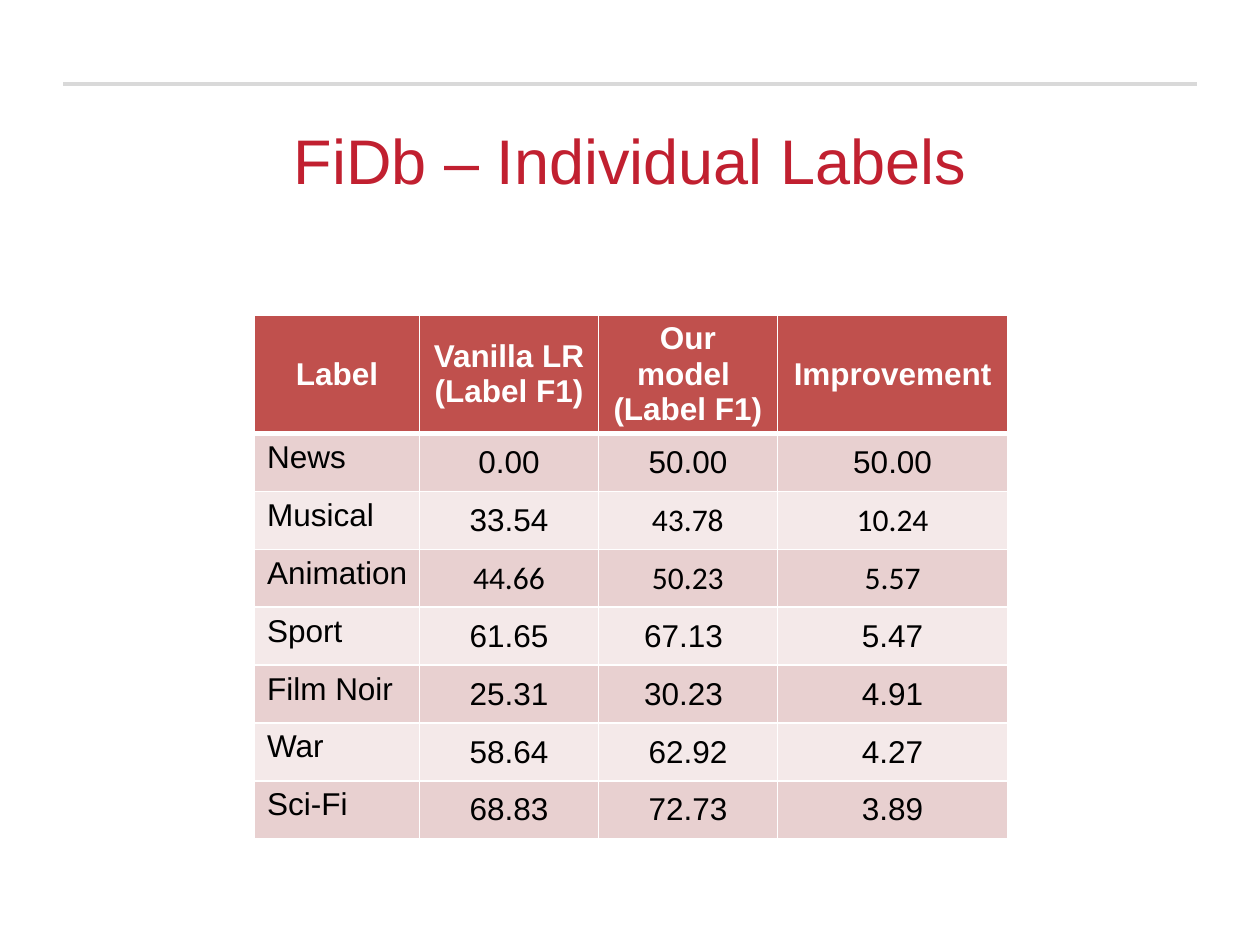
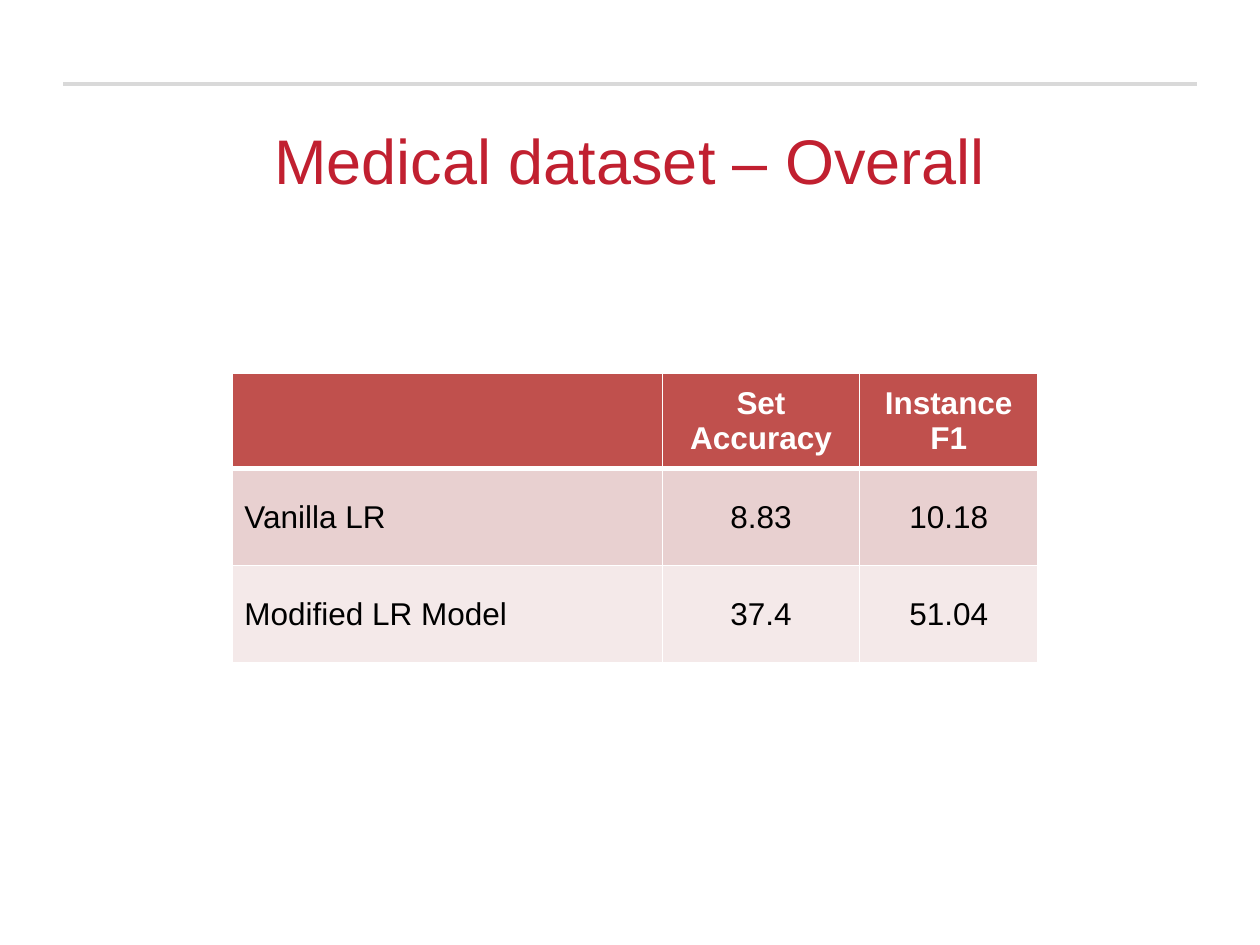
from pptx import Presentation
from pptx import util as u
from pptx.dml.color import RGBColor
from pptx.enum import shapes, text
from pptx.oxml import parse_xml
from pptx.oxml.ns import nsdecls

# Content: "calibri" holds the (row, column) cells set in Calibri
SLIDES = [
    dict(
        title="FiDb – Individual Labels",
        rows=[
            ["Label", "Vanilla LR (Label F1)", "Our model \n(Label F1)", "Improvement"],
            ["News", "0.00", "50.00", "50.00"],
            ["Musical", "33.54", "43.78", "10.24"],
            ["Animation", "44.66", "50.23", "5.57"],
            ["Sport", "61.65", "67.13 ", "5.47"],
            ["Film Noir", "25.31", "30.23 ", "4.91"],
            ["War", "58.64", "62.92", "4.27"],
            ["Sci-Fi", "68.83", "72.73", "3.89"],
        ],
        origin=(2.02, 2.5), cols=[1.31, 1.42, 1.42, 1.83], heights=(0.75, 0.46),
        label_anchor=text.MSO_ANCHOR.TOP,
        calibri={(2, 2), (2, 3), (3, 1), (3, 2), (3, 3)},
    ),
    dict(
        title="Medical dataset – Overall",
        rows=[
            ["", "Set Accuracy", "Instance F1"],
            ["Vanilla LR", "8.83", "10.18"],
            ["Modified LR Model", "37.4", "51.04"],
        ],
        origin=(1.84, 2.96), cols=[3.42, 1.56, 1.42], heights=(0.76, 0.77),
        label_anchor=text.MSO_ANCHOR.MIDDLE,
        calibri=set(),
    ),
]

# Shared look
WIDTH, HEIGHT, MARGIN = 10, 7.5, 0.5
RULE_Y = 0.67
RULE = RGBColor(0xD9, 0xD9, 0xD9)
TITLE = RGBColor(0xC1, 0x20, 0x30)
HEADER = RGBColor(0xC0, 0x50, 0x4D)
BANDS = [RGBColor(0xE8, 0xD0, 0xD0), RGBColor(0xF4, 0xE9, 0xE9)]
WHITE = RGBColor(0xFF, 0xFF, 0xFF)
BLACK = RGBColor(0, 0, 0)
CENTER, LEFT = text.PP_ALIGN.CENTER, text.PP_ALIGN.LEFT
MIDDLE = text.MSO_ANCHOR.MIDDLE


def write(tf, words, size=18, font="Arial", color=BLACK, bold=False,
          align=CENTER, spacing=1.0):
    for i, line in enumerate(words.split("\n")):
        p = tf.add_paragraph() if i else tf.paragraphs[0]
        p.alignment, p.line_spacing = align, spacing
        p.font.size = u.Pt(size)
        if line:
            r = p.add_run()
            r.text = line
            r.font.size, r.font.name, r.font.bold = u.Pt(size), font, bold
            r.font.color.rgb = color


def add_frame(s, title):
    """Grey rule and centred title."""
    rule = s.shapes.add_connector(
        shapes.MSO_CONNECTOR.STRAIGHT, u.Inches(MARGIN), u.Inches(RULE_Y),
        u.Inches(WIDTH - MARGIN), u.Inches(RULE_Y))
    rule.line.color.rgb, rule.line.width = RULE, u.Pt(2.25)
    rule._element.spPr.append(parse_xml(f"<a:effectLst {nsdecls('a')}/>"))
    sp = s.shapes.add_textbox(u.Inches(MARGIN), u.Inches(0.92),
                              u.Inches(WIDTH - 2 * MARGIN), u.Inches(0.83))
    tf = sp.text_frame
    tf.word_wrap, tf.vertical_anchor = True, MIDDLE
    tf.margin_bottom = u.Inches(0.11)
    write(tf, title, size=36, color=TITLE, spacing=0.9)


def set_borders(cell, **widths):
    tc_pr = cell._tc.get_or_add_tcPr()
    for i, side in enumerate("LRTB"):
        tc_pr.insert(i, parse_xml(
            f'<a:ln{side} {nsdecls("a")} w="{u.Pt(widths.get(side, 1))}">'
            f'<a:solidFill><a:srgbClr val="{WHITE}"/></a:solidFill></a:ln{side}>'))


def add_results(s, rows, origin, cols, heights, label_anchor, calibri):
    head_height, body_height = heights
    total = head_height + body_height * (len(rows) - 1)
    table = s.shapes.add_table(
        len(rows), len(cols), *(u.Inches(v) for v in (*origin, sum(cols), total))).table
    for column, width in zip(table.columns, cols):
        column.width = u.Inches(width)
    for i, row in enumerate(rows):
        head = i == 0
        table.rows[i].height = u.Inches(head_height if head else body_height)
        for j, words in enumerate(row):
            cell = table.cell(i, j)
            label = j == 0 and not head
            cell.vertical_anchor = label_anchor if label else MIDDLE
            if head:
                cell.margin_top = cell.margin_bottom = u.Inches(0.02)
            if label:
                cell.margin_right = u.Inches(0.05)
            cell.fill.solid()
            cell.fill.fore_color.rgb = HEADER if head else BANDS[(i - 1) % 2]
            # The heavy line under the header belongs to both rows
            set_borders(cell, B=3 if head else 1, T=3 if i == 1 else 1)
            write(cell.text_frame, words, bold=head,
                  color=WHITE if head else BLACK,
                  align=LEFT if label else CENTER,
                  font="Calibri" if (i, j) in calibri else "Arial")


def main():
    prs = Presentation()
    prs.slide_width, prs.slide_height = u.Inches(WIDTH), u.Inches(HEIGHT)
    for content in SLIDES:
        s = prs.slides.add_slide(prs.slide_layouts[6])
        results = dict(content)
        add_frame(s, results.pop("title"))
        add_results(s, **results)
    prs.save("out.pptx")


if __name__ == "__main__":
    main()
